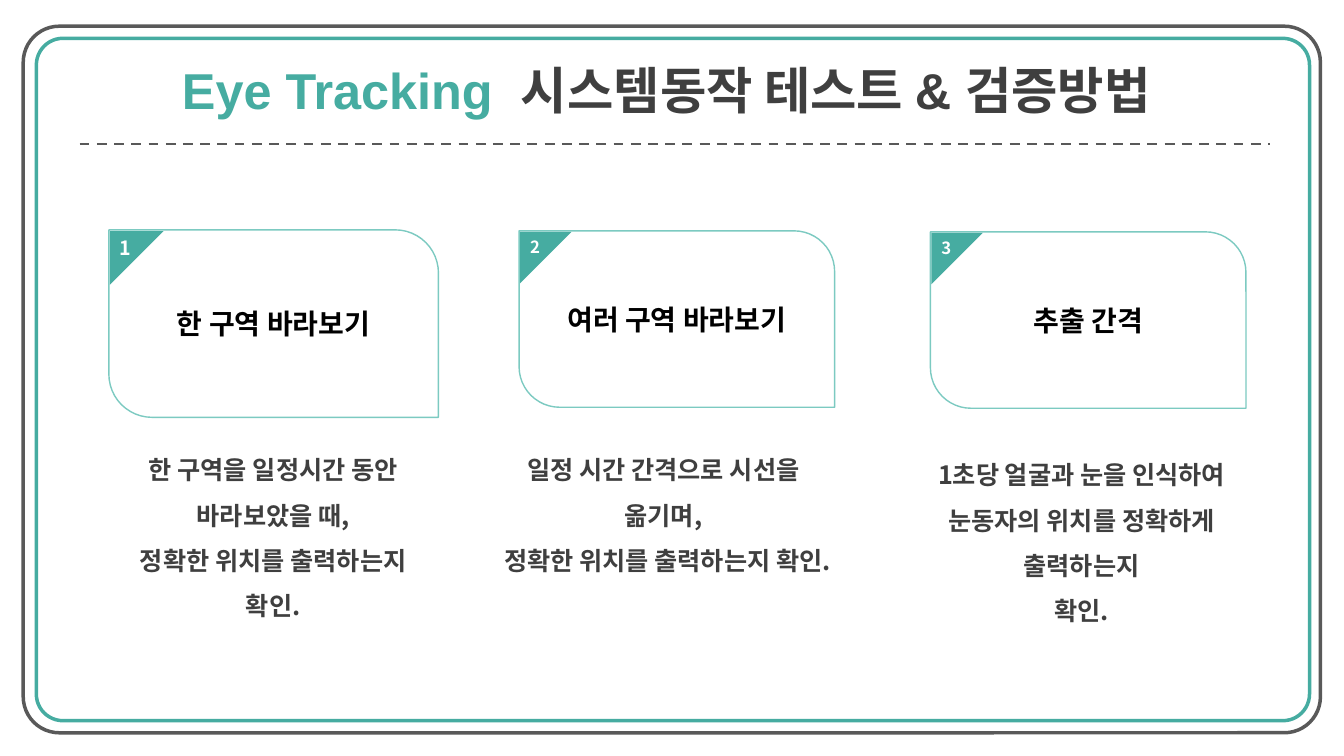
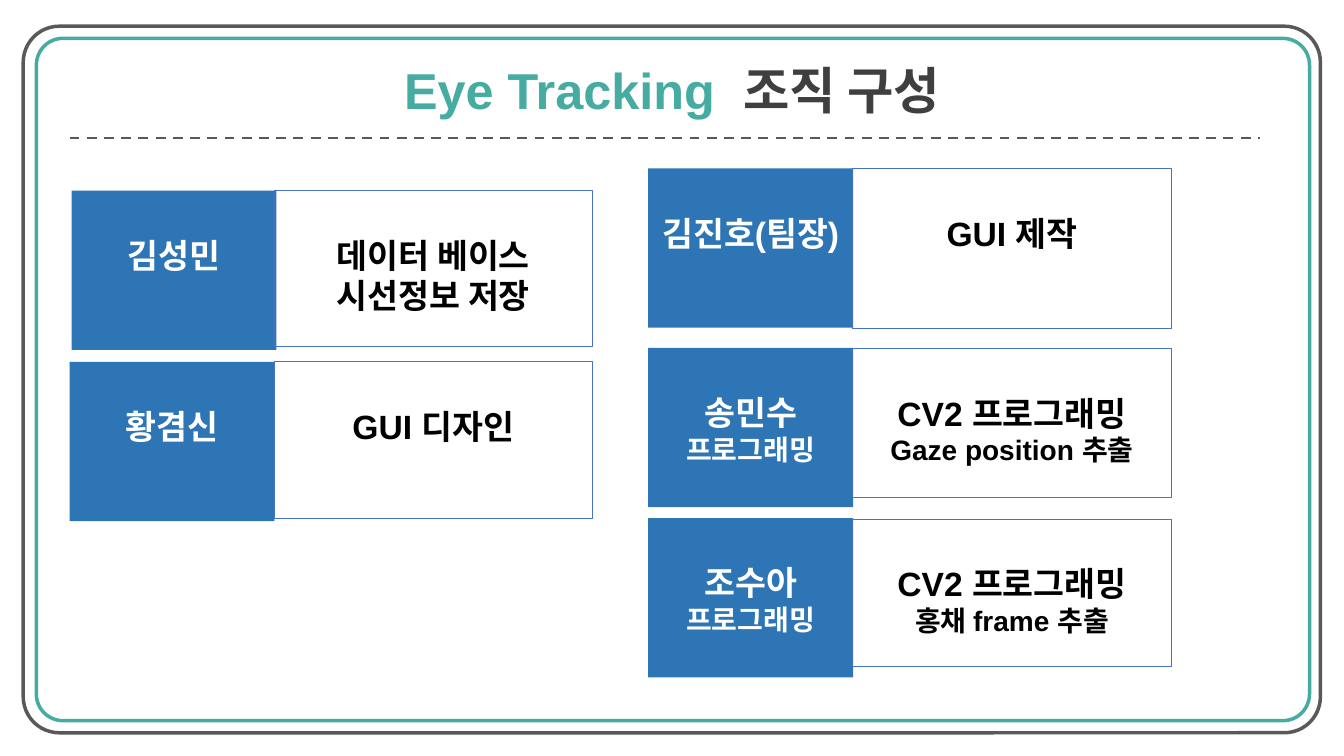
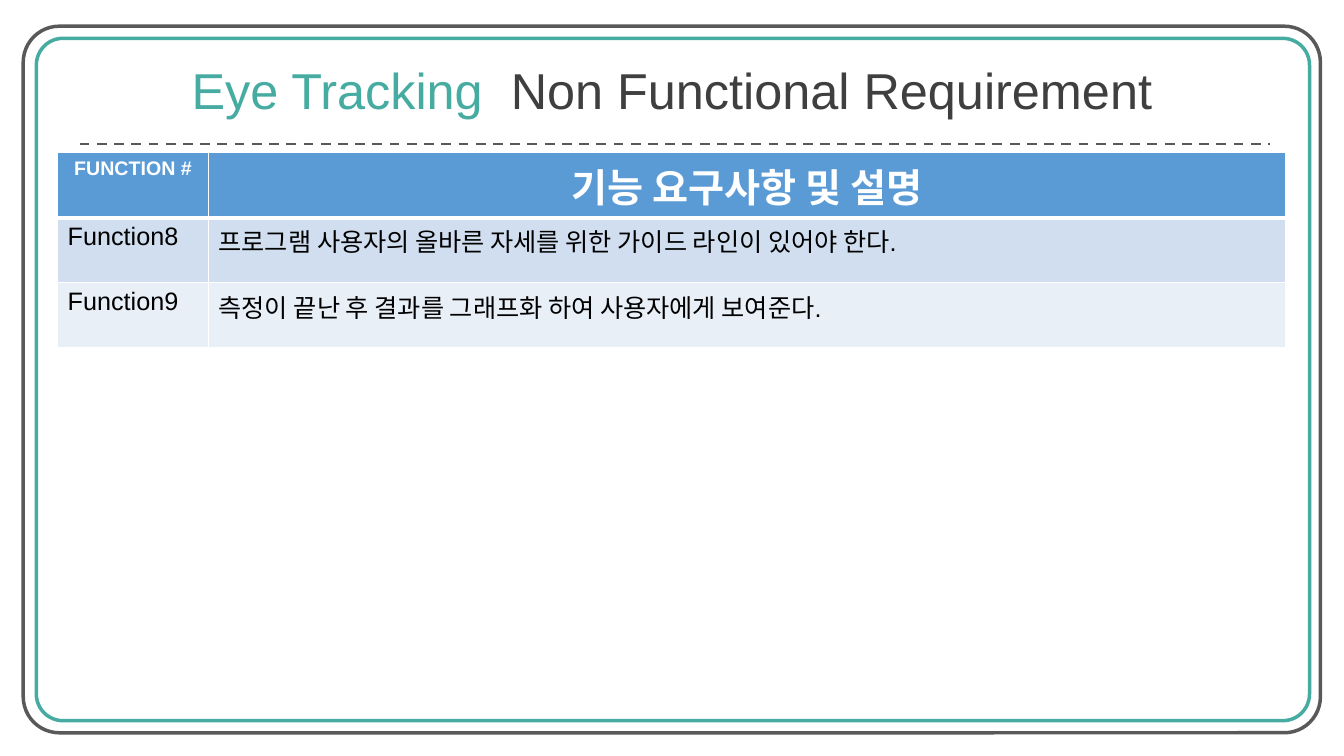
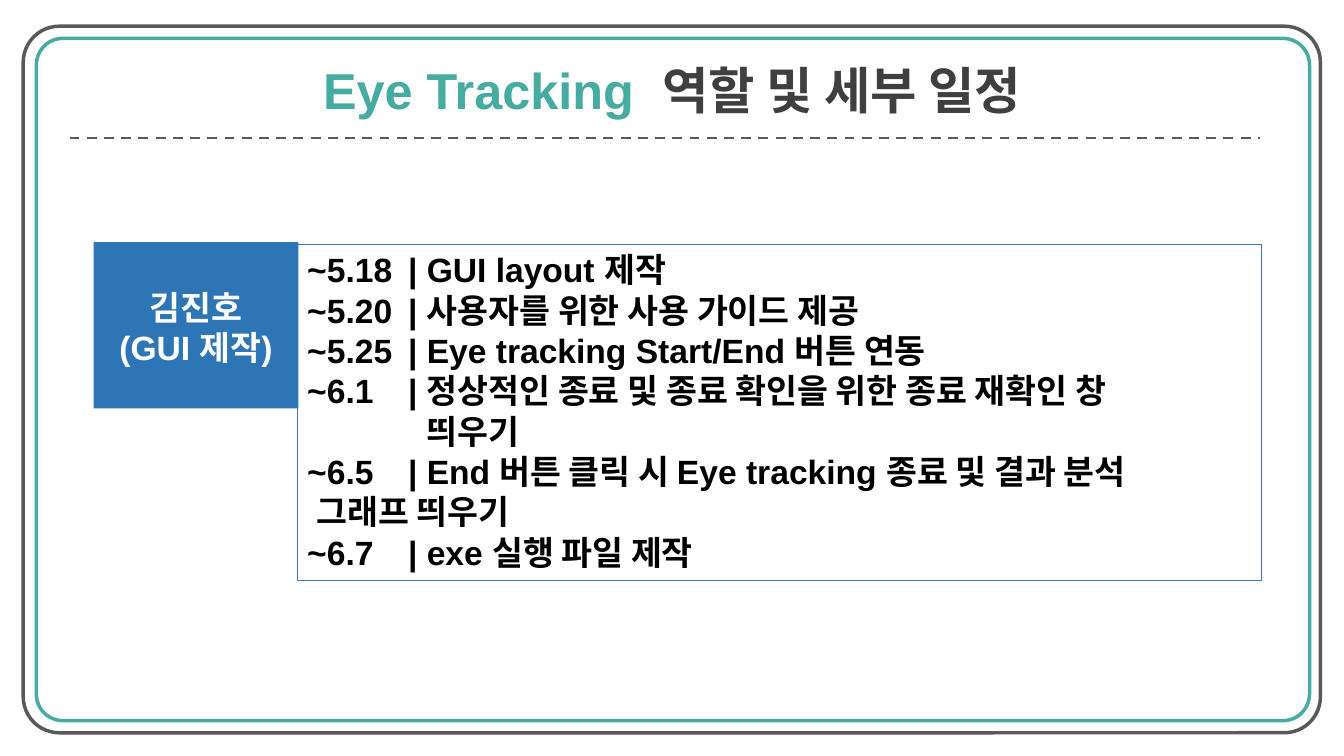
import pptx
import pptx.util
import pptx.dml.color
import pptx.enum.dml
import pptx.enum.shapes
import pptx.enum.text
import pptx.oxml.ns
import lxml.etree

Pt = pptx.util.Pt
SHAPE = pptx.enum.shapes.MSO_SHAPE
ANCHOR = pptx.enum.text.MSO_ANCHOR
ALIGN = pptx.enum.text.PP_ALIGN
qn = pptx.oxml.ns.qn

TEAL, PALE_TEAL, GREY, DARK = "46ACA1", "7CCAC1", "595959", "3F3F3F"
BLUE, OUTLINE, HEADER = "2E75B5", "4472C4", "5B9BD5"
WHITE, BLACK = "FFFFFF", "000000"
LATIN, KOREAN = "Arial", "Noto Sans CJK KR"


def rgb(value):
    """Turn a hex string into a colour."""
    return pptx.dml.color.RGBColor.from_string(value)


class Deck:
    """Holds the shared style and the slide being built."""

    def __init__(self):
        """Start a widescreen presentation."""
        self.prs = pptx.Presentation()
        self.prs.slide_width, self.prs.slide_height = Pt(960), Pt(540)
        self.s = None

    def slide(self, title, rule=(49.7, 98.6), bold=True):
        """Add a slide with its double frame, title and dashed rule."""
        self.s = self.prs.slides.add_slide(self.prs.slide_layouts[6])
        self.shape(SHAPE.ROUNDED_RECTANGLE, 26, 27.4, 909.4, 487.4,
                   line=TEAL, weight=2.5, adj=[0.039])
        self.shape(SHAPE.ROUNDED_RECTANGLE, 16.6, 18.7, 926.6, 504.7,
                   line=GREY, weight=2.5, adj=[0.051])
        tf = self.text(100, 39, 760, 51, ["Eye Tracking"], 36, TEAL,
                       align=ALIGN.CENTER, bold=bold)
        r = tf.paragraphs[0].add_run()
        r.text = "  " + title
        r.font.color.rgb = rgb(DARK)
        self.dashed_rule(*rule)

    def dashed_rule(self, x, y, w=850.3):
        """Draw the dashed line under the title."""
        c = self.s.shapes.add_connector(
            pptx.enum.shapes.MSO_CONNECTOR.STRAIGHT,
            Pt(x), Pt(y), Pt(x + w), Pt(y))
        c.line.color.rgb = rgb(GREY)
        c.line.width = Pt(1.75)
        c.line.dash_style = pptx.enum.dml.MSO_LINE.DASH
        lxml.etree.SubElement(c._element.spPr, qn("a:effectLst"))

    def shape(self, kind, x, y, w, h, fill=None, line=None, weight=1, adj=()):
        """Add a preset shape, unfilled and unlined unless told otherwise."""
        sp = self.s.shapes.add_shape(kind, Pt(x), Pt(y), Pt(w), Pt(h))
        sp.shadow.inherit = False
        for i, value in enumerate(adj):
            sp.adjustments[i] = value
        if fill:
            sp.fill.solid()
            sp.fill.fore_color.rgb = rgb(fill)
        else:
            sp.fill.background()
        if line:
            sp.line.color.rgb = rgb(line)
            sp.line.width = Pt(weight)
        else:
            sp.line.fill.background()
        return sp

    def style(self, p, size, color, font=LATIN, bold=True, align=ALIGN.LEFT):
        """Set font and alignment of a paragraph."""
        p.alignment = align
        f = p.font
        f.size, f.bold, f.name = Pt(size), bold, font
        f.color.rgb = rgb(color)
        lxml.etree.SubElement(f._rPr, qn("a:ea"), typeface=KOREAN)

    def fill_text(self, tf, lines, size, color, top=3.6, anchor=ANCHOR.TOP,
                  spacing=None, **style):
        """Fill a frame; a line is a string or a (string, size) pair."""
        tf.word_wrap = True
        tf.vertical_anchor = anchor
        tf.margin_top = Pt(top)
        for i, line in enumerate(lines):
            text, points = (line, size) if isinstance(line, str) else line
            p = tf.add_paragraph() if i else tf.paragraphs[0]
            p.add_run().text = text
            self.style(p, points, color, **style)
            if spacing:
                p.line_spacing = spacing
        return tf

    def text(self, x, y, w, h, lines, size, color, **options):
        """Add a text box."""
        tb = self.s.shapes.add_textbox(Pt(x), Pt(y), Pt(w), Pt(h))
        return self.fill_text(tb.text_frame, lines, size, color, **options)

    def card(self, number, x, y, w, h, label, number_size):
        """Add a leaf-shaped card with a numbered corner."""
        sp = self.shape(SHAPE.ROUND_2_DIAG_RECTANGLE, x, y, w, h, WHITE,
                        PALE_TEAL, adj=[0, 0.23])
        self.fill_text(sp.text_frame, [label], 20, BLACK, font=KOREAN,
                       anchor=ANCHOR.MIDDLE, align=ALIGN.CENTER)
        corner = round(w * 0.163, 1)
        tri = self.shape(SHAPE.RIGHT_TRIANGLE, x + 0.7, y + 0.8, corner, corner,
                         TEAL)
        tri.rotation = 90
        self.text(x + 0.7, y + 0.7, 27, 22, [str(number)], number_size, WHITE,
                  font=KOREAN)

    def name_box(self, x, y, lines, h=113.8):
        """Add a blue box with a member's name."""
        sp = self.shape(SHAPE.RECTANGLE, x, y, 146.4, h, BLUE)
        self.fill_text(sp.text_frame, lines, 24, WHITE, top=31.6,
                       align=ALIGN.CENTER)

    def task_box(self, x, y, w, h, lines, **options):
        """Add an outlined box with a member's tasks."""
        sp = self.shape(SHAPE.RECTANGLE, x, y, w, h, line=OUTLINE, weight=0.75)
        return self.fill_text(sp.text_frame, lines, 24, BLACK, **options)

    def borders(self, cell, bottom):
        """Give a cell white borders."""
        tc_pr = cell._tc.get_or_add_tcPr()
        for i, (side, weight) in enumerate(
                [("L", 1), ("R", 1), ("T", 1), ("B", bottom)]):
            ln = lxml.etree.Element(qn("a:ln" + side), w=str(Pt(weight)))
            fill = lxml.etree.SubElement(ln, qn("a:solidFill"))
            lxml.etree.SubElement(fill, qn("a:srgbClr"), val=WHITE)
            tc_pr.insert(i, ln)

    def table(self, x, y, widths, row_height, rows, header_sizes, fills):
        """Add a table with a header row and banded body rows."""
        t = self.s.shapes.add_table(
            len(rows), len(widths), Pt(x), Pt(y), Pt(sum(widths)),
            Pt(row_height * len(rows))).table
        for column, width in zip(t.columns, widths):
            column.width = Pt(width)
        for i, row in enumerate(rows):
            t.rows[i].height = Pt(row_height)
            for j, value in enumerate(row):
                cell = t.cell(i, j)
                cell.fill.solid()
                cell.fill.fore_color.rgb = rgb(fills[i])
                self.borders(cell, 1 if i else 3)
                p = cell.text_frame.paragraphs[0]
                p.add_run().text = value
                if i:
                    self.style(p, 18, BLACK, bold=False)
                else:
                    self.style(p, header_sizes[j], WHITE, align=ALIGN.CENTER)


def tests(d):
    """Build the slide on testing and verification."""
    d.slide("시스템동작 테스트 & 검증방법 ", rule=(56.9, 103))
    cards = [(77.8, 164.2, 235.4, 133.9, "한 구역 바라보기", 14),
             (370.8, 164.9, 225.4, 126, "여러 구역 바라보기", 12),
             (664.6, 165.6, 225.4, 126, "추출 간격", 12)]
    for number, card in enumerate(cards, 1):
        d.card(number, *card)
    details = [
        (77.8, 310.3, 234.7,
         ["한 구역을 일정시간 동안 바라보았을 때,", "정확한 위치를 출력하는지 확인."]),
        (351.4, 310.3, 244.8,
         ["일정 시간 간격으로 시선을 옮기며,", "정확한 위치를 출력하는지 확인."]),
        (655.2, 313.9, 234.7,
         ["1초당 얼굴과 눈을 인식하여 눈동자의 위치를 정확하게 출력하는지", "확인."])]
    for x, y, w, lines in details:
        d.text(x, y, w, 138.2, lines, 18, DARK, font=KOREAN, spacing=1.5,
               align=ALIGN.CENTER)


def team(d):
    """Build the slide on the team's organisation."""
    d.slide("조직 구성")
    role = ("프로그래밍", 20)
    names = [(463, 120.2, ["김진호(팀장)"]),
             (463, 370.1, ["조수아", role]),
             (463, 248.4, ["송민수", role]),
             (49.7, 258.5, ["황겸신"]),
             (51.1, 136.1, ["김성민"])]
    for name in names:
        d.name_box(*name)
    tasks = [(195.8, 136.1, 111.6, ["데이터 베이스", "시선정보 저장"]),
             (195.8, 258.5, 111.6, ["GUI 디자인"]),
             (609.1, 120.6, 113.8, ["GUI 제작"]),
             (609.1, 248.8, 106.6, ["CV2 프로그래밍", ("Gaze position 추출", 20)]),
             (609.1, 370.8, 105.1, ["CV2 프로그래밍", ("홍채 frame 추출", 20)])]
    for x, y, h, lines in tasks:
        d.task_box(x, y, 227.5, h, lines, top=31.6, align=ALIGN.CENTER)


def requirements(d):
    """Build the slide on non-functional requirements."""
    d.slide("Non Functional Requirement", rule=(56.9, 103), bold=False)
    rows = [("FUNCTION #", "기능 요구사항 및 설명"),
            ("Function8", "프로그램 사용자의 올바른 자세를 위한 가이드 라인이 있어야 한다."),
            ("Function9", "측정이 끝난 후 결과를 그래프화 하여 사용자에게 보여준다.")]
    d.table(41.2, 108.9, [107.8, 769.4], 46.6, rows, header_sizes=[14, 28],
            fills=[HEADER, "D0DEEF", "E9EFF7"])


def schedule(d):
    """Build the slide on roles and schedule."""
    d.slide("역할 및 세부 일정")
    lines = ["~5.18\t| GUI layout 제작",
             "~5.20\t| 사용자를 위한 사용 가이드 제공",
             "~5.25\t| Eye tracking Start/End 버튼 연동",
             "~6.1\t| 정상적인 종료 및 종료 확인을 위한 종료 재확인 창",
             "띄우기",
             "~6.5\t| End 버튼 클릭 시 Eye tracking 종료 및 결과 분석",
             "그래프 띄우기",
             "~6.7\t| exe 실행 파일 제작"]
    tf = d.task_box(212.4, 174.6, 688.6, 239.8, lines)
    for i, indent in [(4, 85.5), (6, 6.7)]:
        p_pr = tf.paragraphs[i]._p.get_or_add_pPr()
        p_pr.set("marL", str(Pt(indent)))
        p_pr.set("indent", "0")
    d.name_box(66.8, 173, ["김진호", "(GUI 제작)"], h=118.8)


deck = Deck()
for build in (tests, team, requirements, schedule):
    build(deck)
deck.prs.save("out.pptx")
